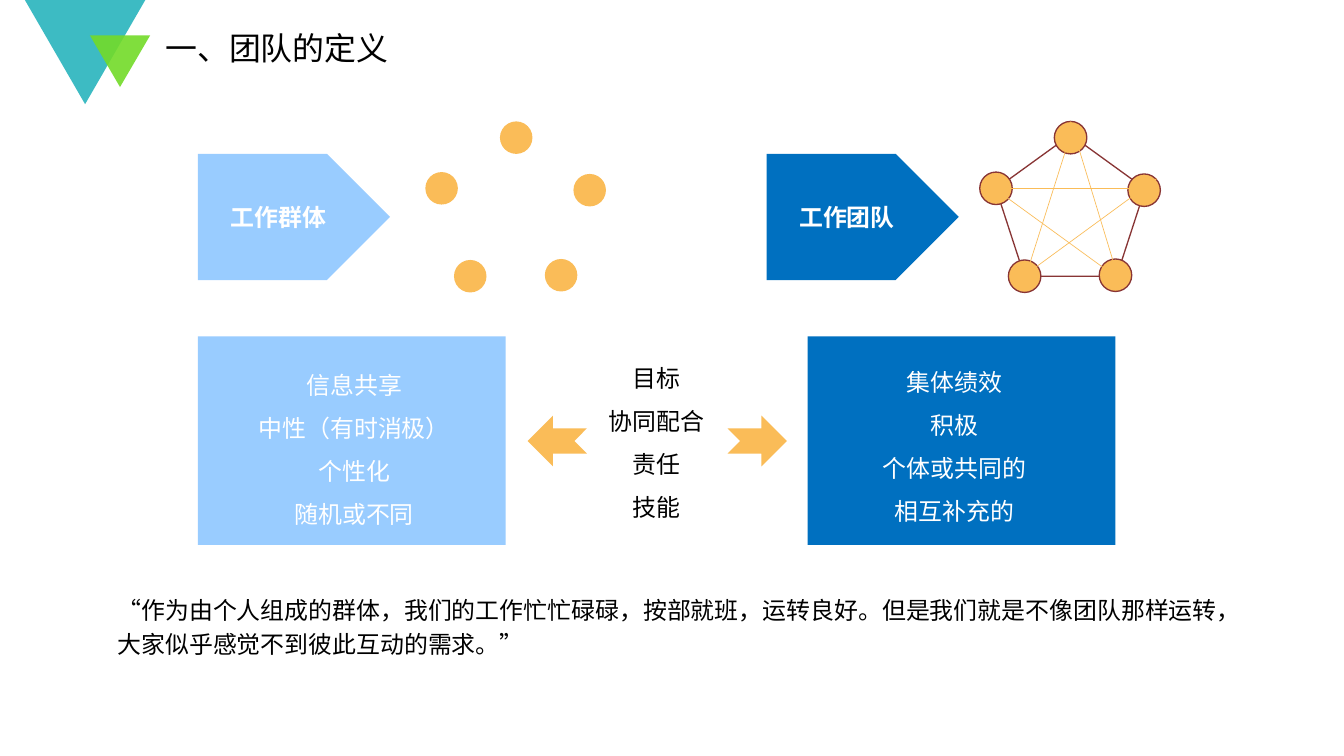
from dataclasses import dataclass
from typing import Any, NamedTuple, Optional

from pptx import Presentation
from pptx.dml.color import RGBColor
from pptx.enum.shapes import MSO_CONNECTOR, MSO_SHAPE as Preset
from pptx.enum.text import MSO_ANCHOR as Anchor, PP_ALIGN as Align
from pptx.oxml.ns import qn
from pptx.util import Inches, Pt

TEAL = RGBColor(0x29, 0xB4, 0xBD)
GREEN = RGBColor(0x73, 0xDB, 0x29)
ORANGE = RGBColor(0xFA, 0xBC, 0x58)
MAROON = RGBColor(0x88, 0x35, 0x35)
PALE_BLUE = RGBColor(0x99, 0xCC, 0xFF)
DEEP_BLUE = RGBColor(0x00, 0x70, 0xC0)
WHITE = RGBColor(0xFF, 0xFF, 0xFF)
BLACK = RGBColor(0x00, 0x00, 0x00)
CJK_FONT = "Noto Sans CJK SC"

# The slide is a grid of 100 columns by 100 rows
WIDTH, HEIGHT = Inches(14.06), Inches(7.91)


class Area(NamedTuple):
    left: float
    top: float
    width: float
    height: float


class Chord(NamedTuple):
    x1: float
    y1: float
    x2: float
    y2: float


class Topic(NamedTuple):
    text: str
    width: float


@dataclass
class Figure:
    preset: Any
    area: Area
    fill: RGBColor
    line: Optional[RGBColor] = None
    rotation: float = 0
    alpha: int = 100
    flipped: bool = False


@dataclass
class Side:
    heading: str
    color: RGBColor
    plate_left: float
    panel_left: float
    items: list[str]
    items_area: Area


DECOR = [
    Figure(Preset.ISOSCELES_TRIANGLE, Area(1.85, 0, 8.96, 13.78), TEAL, rotation=180, alpha=90),
    Figure(Preset.ISOSCELES_TRIANGLE, Area(6.69, 4.68, 4.48, 6.83), GREEN, rotation=180, alpha=90),
]
ARROWS = [
    Figure(Preset.NOTCHED_RIGHT_ARROW, Area(54.13, 54.99, 4.41, 6.7), ORANGE),
    Figure(Preset.NOTCHED_RIGHT_ARROW, Area(39.26, 54.99, 4.41, 6.7), ORANGE, flipped=True),
]
SIDES = [
    Side("工作群体", PALE_BLUE, 14.72, 14.72,
         ["信息共享", "中性（有时消极）", "个性化", "随机或不同"],
         Area(17.21, 46.52, 18.28, 24.27)),
    Side("工作团队", DEEP_BLUE, 57.04, 60.1,
         ["集体绩效", "积极", "个体或共同的", "相互补充的"],
         Area(63.16, 46.14, 15.72, 24.27)),
]
DOTS = [(37.2, 16.06), (31.65, 22.76), (42.67, 23.01), (33.78, 34.39), (40.54, 34.26)]
TEAM_SHIFT = 41.25
PENTAGON = Figure(Preset.REGULAR_PENTAGON, Area(74.11, 17.83, 11.1, 18.71), WHITE, MAROON)
CHORDS = [
    Chord(74.11, 24.91, 85.21, 24.91),
    Chord(79.66, 17.83, 76.39, 36.16),
    Chord(79.66, 16.06, 83.14, 36.41),
    Chord(73.97, 24.91, 83.36, 37.04),
    Chord(86.06, 23.64, 76.24, 36.41),
]
TOPICS = [Topic("目标", 6.76), Topic("协同配合", 12.66), Topic("责任", 6.69), Topic("技能", 7.47)]
TOPIC_CENTER, TOPIC_TOP, TOPIC_STEP, TOPIC_HEIGHT = 48.83, 47.53, 5.69, 5.06
QUOTE = ("“作为由个人组成的群体，我们的工作忙忙碌碌，按部就班，运转良好。"
         "但是我们就是不像团队那样运转，大家似乎感觉不到彼此互动的需求。”")


def col(share: float) -> int:
    return round(WIDTH * share / 100)


def row(share: float) -> int:
    return round(HEIGHT * share / 100)


def place(area: Area) -> tuple[int, int, int, int]:
    return col(area.left), row(area.top), col(area.width), row(area.height)


def apply(target: Any, values: dict[str, Any]) -> None:
    for name, value in values.items():
        setattr(target, name, value)


def draw_figure(shapes: Any, figure: Figure) -> Any:
    shape = shapes.add_shape(figure.preset, *place(figure.area))
    shape.shadow.inherit = False
    shape.rotation = figure.rotation
    shape.fill.solid()
    shape.fill.fore_color.rgb = figure.fill
    if figure.line is None:
        shape.line.fill.background()
    else:
        shape.line.color.rgb = figure.line
        shape.line.width = Pt(1)
    properties = shape._element.spPr
    if figure.alpha < 100:
        tint = properties.find(".//" + qn("a:srgbClr"))
        tint.makeelement(qn("a:alpha"))
        alpha = tint.makeelement(qn("a:alpha"), {"val": str(figure.alpha * 1000)})
        tint.append(alpha)
    if figure.flipped:
        properties.find(qn("a:xfrm")).set("flipH", "1")
    return shape


def write(shape: Any, lines: list[str], color: RGBColor, size: float = 18, bold: bool = False,
          font: str = "Arial", frame: Optional[dict] = None, para: Optional[dict] = None) -> None:
    apply(shape.text_frame, {"word_wrap": True, **(frame or {})})
    for index, line in enumerate(lines):
        paragraph = shape.text_frame.paragraphs[0] if index == 0 else shape.text_frame.add_paragraph()
        apply(paragraph, para or {})
        span = paragraph.add_run()
        span.text = line
        apply(span.font, {"size": Pt(size), "bold": bold, "name": font})
        span.font.color.rgb = color
        properties = span.font._element
        properties.set("lang", "zh-CN")
        latin = properties.find(qn("a:latin"))
        latin.addnext(latin.makeelement(qn("a:ea"), {"typeface": CJK_FONT}))


def add_text(shapes: Any, area: Area, lines: list[str], color: RGBColor, **options: Any) -> None:
    write(shapes.add_textbox(*place(area)), lines, color, **options)


def draw_dots(shapes: Any, shift: float, line: Optional[RGBColor]) -> None:
    for left, top in DOTS:
        draw_figure(shapes, Figure(Preset.OVAL, Area(left + shift, top, 2.42, 4.3), ORANGE, line))


def draw_chord(shapes: Any, chord: Chord) -> None:
    line = shapes.add_connector(MSO_CONNECTOR.STRAIGHT, col(chord.x1), row(chord.y1),
                                col(chord.x2), row(chord.y2))
    line.line.color.rgb = ORANGE
    line.line.width = Pt(0.5)
    properties = line._element.spPr
    properties.append(properties.makeelement(qn("a:effectLst")))


def draw_side(shapes: Any, side: Side) -> None:
    centered = {"alignment": Align.CENTER}
    plate = Figure(Preset.PENTAGON, Area(side.plate_left, 20.35, 14.3, 16.69), side.color)
    write(draw_figure(shapes, plate), [side.heading], WHITE, bold=True,
          frame={"vertical_anchor": Anchor.MIDDLE}, para=centered)
    draw_figure(shapes, Figure(Preset.RECTANGLE, Area(side.panel_left, 44.5, 22.9, 27.56), side.color))
    add_text(shapes, side.items_area, side.items, WHITE, para={**centered, "line_spacing": 1.5})


def main() -> None:
    deck = Presentation()
    apply(deck, {"slide_width": WIDTH, "slide_height": HEIGHT})
    shapes = deck.slides.add_slide(deck.slide_layouts[6]).shapes

    # Corner decoration and title
    for figure in DECOR:
        draw_figure(shapes, figure)
    margins = dict.fromkeys(["margin_left", "margin_top", "margin_right", "margin_bottom"], 0)
    add_text(shapes, Area(12.3, 3.79, 77.74, 5.06), ["一、团队的定义"], BLACK, size=24,
             frame={**margins, "vertical_anchor": Anchor.MIDDLE})

    # Loose dots of the group, linked dots of the team
    draw_dots(shapes.add_group_shape().shapes, 0, None)
    network = shapes.add_group_shape().shapes
    draw_figure(network, PENTAGON)
    draw_dots(network, TEAM_SHIFT, MAROON)
    for chord in CHORDS:
        draw_chord(shapes, chord)

    # Headings and panels
    for side in SIDES:
        draw_side(shapes, side)

    # Compared topics between the panels
    for index, topic in enumerate(TOPICS):
        area = Area(TOPIC_CENTER - topic.width / 2, TOPIC_TOP + index * TOPIC_STEP,
                    topic.width, TOPIC_HEIGHT)
        add_text(shapes, area, [topic.text], BLACK, para={"alignment": Align.CENTER})
    for arrow in ARROWS:
        draw_figure(shapes, arrow)

    # Closing quote
    add_text(shapes, Area(8.04, 77.37, 84, 10.49), [QUOTE], BLACK, font=CJK_FONT,
             para={"line_spacing": 1.2})

    deck.save("out.pptx")


if __name__ == "__main__":
    main()
